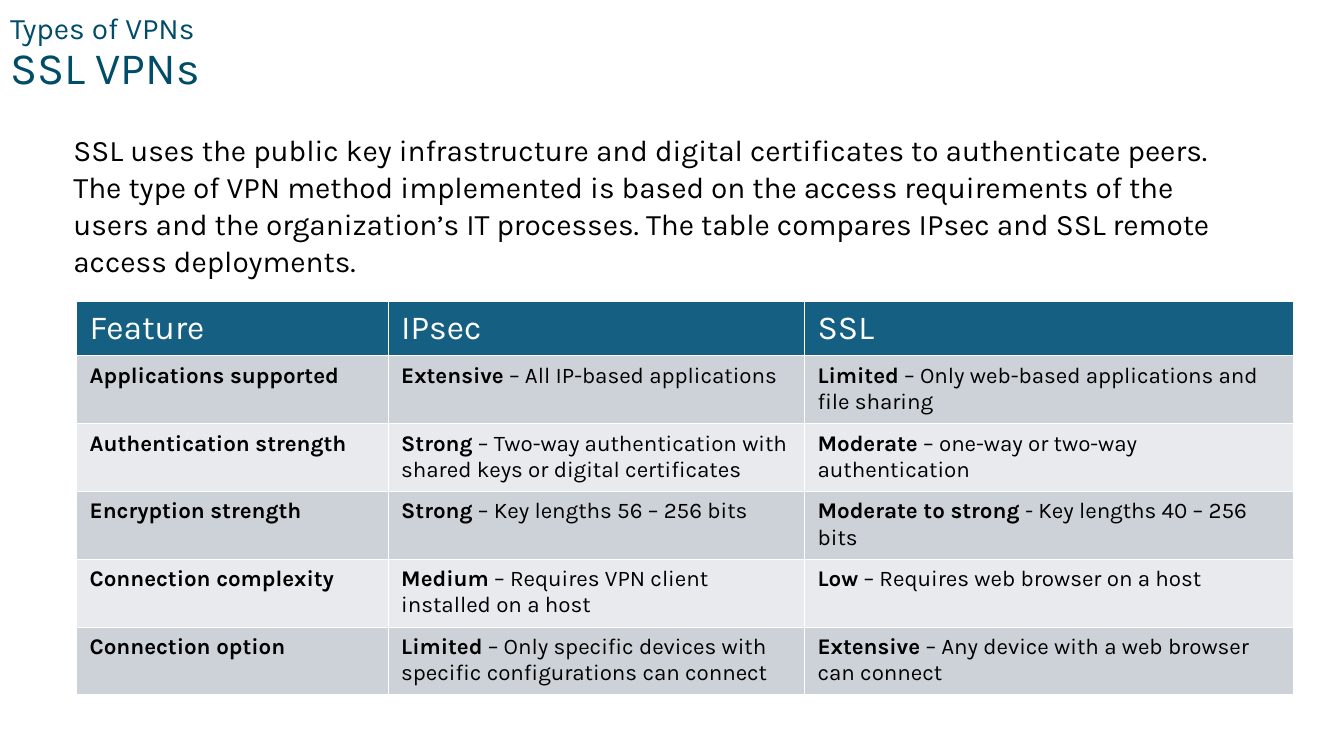
"""Build the slide that compares IPsec and SSL VPNs."""
from pptx import Presentation
from pptx.dml.color import RGBColor as RGB
from pptx.enum.text import MSO_ANCHOR as Anchor, PP_ALIGN as Align
from pptx.util import Inches, Pt

FONT = "Karla"
HUES = {"title": "004C69", "text": "000000", "head": "156082",
        "white": "FFFFFF", "odd": "CCD2D8", "even": "E8EAED"}
INTRO = ("SSL uses the public key infrastructure and digital certificates to "
         "authenticate peers. The type of VPN method implemented is based on "
         "the access requirements of the users and the organization’s IT "
         "processes. The table compares IPsec and SSL remote access "
         "deployments.")
WIDTHS = [3.09, 4.13, 4.85]
ROWS = [
    [("Feature", ""), ("IPsec", ""), ("SSL", "")],
    [("Applications supported", ""),
     ("Extensive", " – All IP-based applications"),
     ("Limited", " – Only web-based applications and file sharing")],
    [("Authentication strength", ""),
     ("Strong", " – Two-way authentication with shared keys or digital "
      "certificates"),
     ("Moderate", " – one-way or two-way authentication")],
    [("Encryption strength", ""),
     ("Strong", " – Key lengths 56 – 256 bits"),
     ("Moderate to strong ", "- Key lengths 40 – 256 bits")],
    [("Connection complexity", ""),
     ("Medium", " – Requires VPN client installed on a host"),
     ("Low", " – Requires web browser on a host")],
    [("Connection option", ""),
     ("Limited", " – Only specific devices with specific configurations can "
      "connect"),
     ("Extensive", " – Any device with a web browser can connect")],
]


def style(font, size, hue):
    """Set the face, size and colour of a font."""
    font.name, font.size = FONT, Pt(size)
    font.color.rgb = RGB.from_string(HUES[hue])


def add_title(slide):
    """Place the two-line title in its placeholder."""
    title = slide.shapes.title
    title.left = title.top = Inches(0)
    title.width, title.height = Inches(12.17), Inches(1.07)
    frame = title.text_frame
    frame.vertical_anchor = Anchor.MIDDLE
    para = frame.paragraphs[0]
    para.alignment, para.line_spacing = Align.LEFT, 0.9
    small = para.add_run()
    small.text = "Types of VPNs"
    style(small.font, 21.3, "title")
    para.add_line_break()
    large = para.add_run()
    large.text = "SSL VPNs"
    style(large.font, 32, "title")


def add_intro(slide):
    """Add the wrapped introduction above the table."""
    box = slide.shapes.add_textbox(Inches(0.63), Inches(1.25),
                                   Inches(11.54), Inches(1.57))
    frame = box.text_frame
    frame.word_wrap = True
    para = frame.paragraphs[0]
    para.text, para.line_spacing = INTRO, 1.03
    style(para.font, 21.3, "text")


def fill_cell(cell, lead, rest, hue, head):
    """Fill one cell with its lead words and the plain words after them."""
    cell.fill.solid()
    cell.fill.fore_color.rgb = RGB.from_string(HUES[hue])
    cell.margin_left = cell.margin_right = Inches(0.13)
    cell.margin_top = cell.margin_bottom = Inches(0.07)
    para = cell.text_frame.paragraphs[0]
    for text, bold in ((lead, not head), (rest, False)):
        if text:
            run = para.add_run()
            run.text = text
            style(run.font, 24 if head else 16, "white" if head else "text")
            run.font.bold = bold


def add_grid(slide):
    """Add the comparison table."""
    high = [0.54] + [0.66] * (len(ROWS) - 1)
    grid = slide.shapes.add_table(
        len(ROWS), len(WIDTHS), Inches(0.76), Inches(2.99),
        Inches(sum(WIDTHS)), Inches(sum(high))).table
    for col, wide in zip(grid.columns, WIDTHS):
        col.width = Inches(wide)
    for i, row in enumerate(ROWS):
        grid.rows[i].height = Inches(high[i])
        hue = "head" if i == 0 else "odd" if i % 2 else "even"
        for j, (lead, rest) in enumerate(row):
            fill_cell(grid.cell(i, j), lead, rest, hue, i == 0)


def main():
    """Build and save the slide."""
    deck = Presentation()
    deck.slide_width, deck.slide_height = Inches(13.33), Inches(7.5)
    slide = deck.slides.add_slide(deck.slide_layouts[5])
    add_title(slide)
    add_intro(slide)
    add_grid(slide)
    deck.save("out.pptx")


if __name__ == "__main__":
    main()
